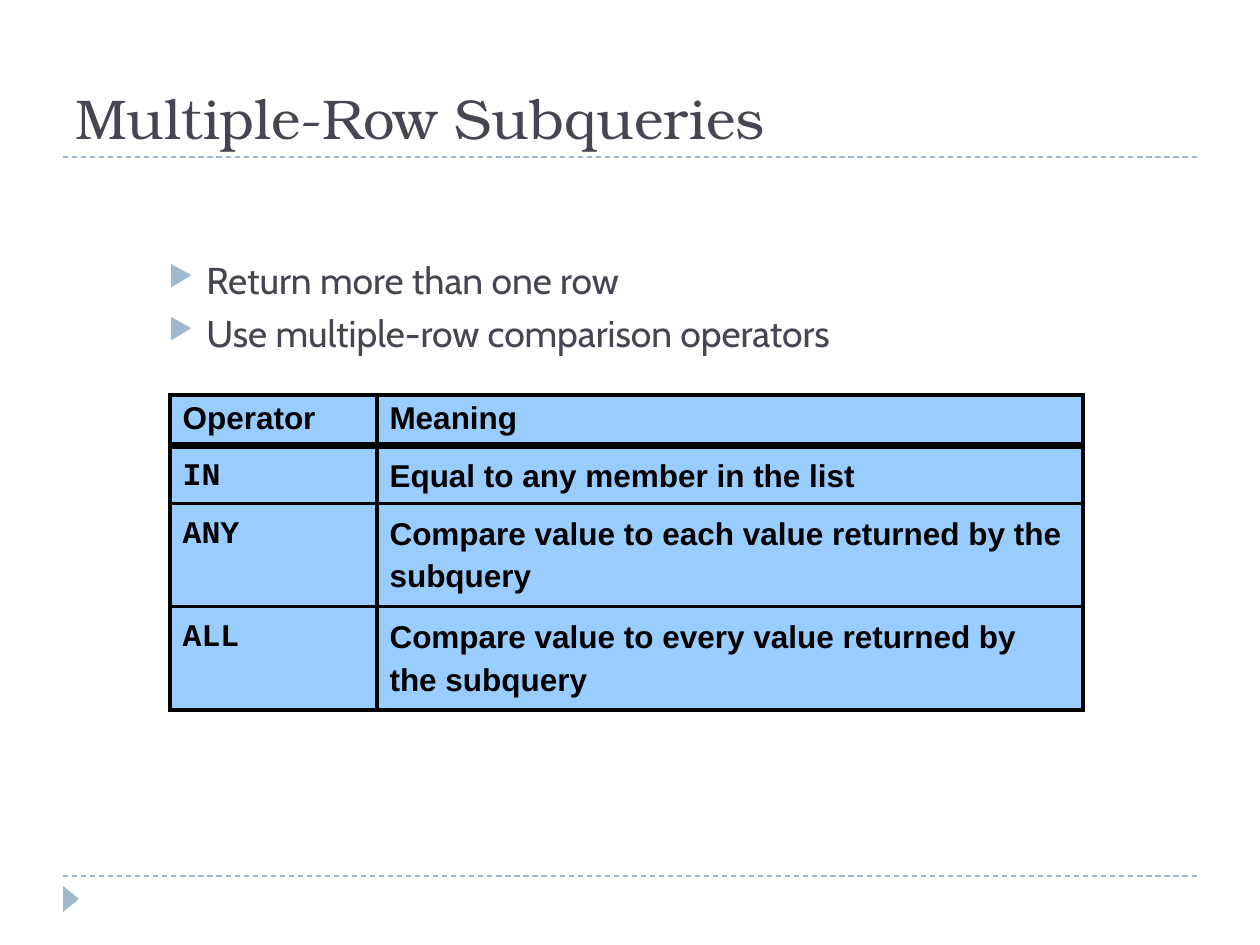
from lxml.etree import SubElement
from pptx import Presentation
from pptx.dml.color import RGBColor
from pptx.enum.dml import MSO_LINE
from pptx.enum.shapes import MSO_CONNECTOR, MSO_SHAPE
from pptx.enum.text import MSO_ANCHOR
from pptx.oxml.ns import qn
from pptx.util import Emu, Pt

TITLE = "Multiple-Row Subqueries"
POINTS = ["Return more than one row", "Use multiple-row comparison operators"]
HEADINGS = ("Operator", "Meaning")
OPERATORS = [
    ("IN", "Equal to any member in the list"),
    ("ANY", "Compare value to each value returned by the subquery"),
    ("ALL", "Compare value to every value returned by the subquery"),
]
COLUMN_WIDTHS = (207, 706)
ROW_HEIGHTS = (48, 56, 98, 97)
RULE_TOPS = (876, 157)

SLATE = RGBColor(0x46, 0x46, 0x53)
STEEL = RGBColor(0x9F, 0xB8, 0xCD)
SKY = RGBColor(0x99, 0xCC, 0xFF)
BLACK = RGBColor(0, 0, 0)
THIN, THICK = Pt(2.25), Pt(4.5)


def px(length):
    """Turn pixels into EMU."""
    return Emu(round(length * 914400 / 126))


def write(paragraph, text, *, font, size, color=SLATE, bold=False, spacing=None, before=0):
    """Put one formatted run in a paragraph."""
    paragraph.space_before = Pt(before)
    if spacing:
        paragraph.line_spacing = spacing
    run = paragraph.add_run()
    run.text = text
    run.font.name = font
    run.font.size = Pt(size)
    run.font.bold = bold
    run.font.color.rgb = color


def add_text_frame(slide, *box):
    """Add a wrapping text box and return its frame."""
    frame = slide.shapes.add_textbox(*map(px, box)).text_frame
    frame.word_wrap = True
    return frame


def add_bullet(paragraph):
    """Give a paragraph a steel triangle bullet with a hanging indent."""
    properties = paragraph._p.get_or_add_pPr()
    properties.set("marL", str(px(76)))
    properties.set("indent", str(px(-38)))
    color = SubElement(properties, qn("a:buClr"))
    SubElement(color, qn("a:srgbClr"), val=str(STEEL))
    SubElement(properties, qn("a:buSzPct"), val="76000")
    SubElement(properties, qn("a:buChar"), char="▶")


def add_borders(cell, top, bottom):
    """Draw black borders on the four sides of a cell."""
    properties = cell._tc.get_or_add_tcPr()
    for side, width in (("L", THIN), ("R", THIN), ("T", top), ("B", bottom)):
        border = SubElement(properties, qn(f"a:ln{side}"), w=str(width))
        fill = SubElement(border, qn("a:solidFill"))
        SubElement(fill, qn("a:srgbClr"), val=str(BLACK))


def add_decoration(slide):
    """Draw the dashed rules and the corner triangle."""
    for top in RULE_TOPS:
        rule = slide.shapes.add_connector(
            MSO_CONNECTOR.STRAIGHT, px(63), px(top), px(1197), px(top))
        rule.line.color.rgb = STEEL
        rule.line.width = Pt(0.75)
        rule.line.dash_style = MSO_LINE.DASH
        SubElement(rule._element.spPr, qn("a:effectLst"))
    marker = slide.shapes.add_shape(
        MSO_SHAPE.ISOSCELES_TRIANGLE, px(58), px(891), px(26), px(16))
    marker.rotation = 90
    marker.shadow.inherit = False
    marker.fill.solid()
    marker.fill.fore_color.rgb = STEEL
    marker.line.fill.background()


def add_operator_table(slide):
    """Add the table of comparison operators."""
    rows = [HEADINGS, *OPERATORS]
    table = slide.shapes.add_table(
        len(rows), len(HEADINGS), px(170), px(395),
        px(sum(COLUMN_WIDTHS)), px(sum(ROW_HEIGHTS))).table
    table.horz_banding = False
    for column, width in zip(table.columns, COLUMN_WIDTHS):
        column.width = px(width)
    for r, (texts, height) in enumerate(zip(rows, ROW_HEIGHTS)):
        table.rows[r].height = px(height)
        for c, text in enumerate(texts):
            cell = table.cell(r, c)
            add_borders(cell, THICK if r == 1 else THIN, THICK if r == 0 else THIN)
            cell.fill.solid()
            cell.fill.fore_color.rgb = SKY
            write(cell.text_frame.paragraphs[0], text, size=18, color=BLACK, bold=True,
                  font="Courier New" if r and c == 0 else "Arial",
                  spacing=1.2 if r else None)


def main():
    """Build the slide."""
    deck = Presentation()
    deck.slide_width, deck.slide_height = px(1260), px(945)
    slide = deck.slides.add_slide(deck.slide_layouts[6])
    add_decoration(slide)

    title = add_text_frame(slide, 63, 21, 1134, 136)
    title.vertical_anchor = MSO_ANCHOR.BOTTOM
    write(title.paragraphs[0], TITLE, font="TeX Gyre Bonum", size=32)

    body = add_text_frame(slide, 118, 251, 1016, 105)
    for i, point in enumerate(POINTS):
        paragraph = body.add_paragraph() if i else body.paragraphs[0]
        add_bullet(paragraph)
        write(paragraph, point, font="Cabin", size=21.3, before=5 if i else 0)

    add_operator_table(slide)
    deck.save("out.pptx")


if __name__ == "__main__":
    main()
